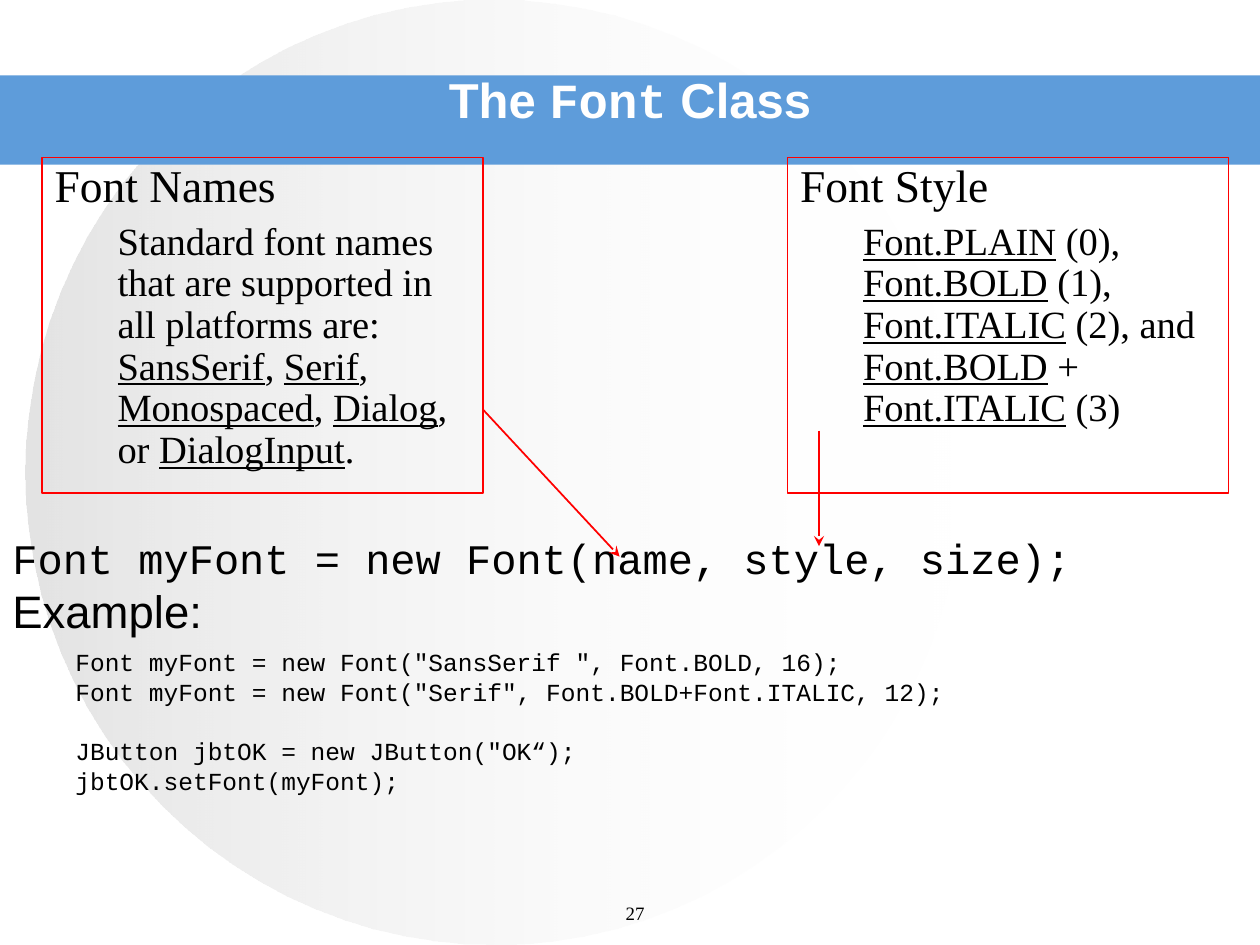
from dataclasses import dataclass

from pptx import Presentation
from pptx.dml.color import RGBColor
from pptx.enum.shapes import MSO_CONNECTOR, MSO_SHAPE
from pptx.enum.text import MSO_ANCHOR, PP_ALIGN
from pptx.oxml.ns import qn
from pptx.util import Cm, Pt
from lxml import etree

OVAL, RECT = MSO_SHAPE.OVAL, MSO_SHAPE.RECTANGLE
LINE = MSO_CONNECTOR.STRAIGHT
LEFT, CENTER = PP_ALIGN.LEFT, PP_ALIGN.CENTER
TOP, MIDDLE = MSO_ANCHOR.TOP, MSO_ANCHOR.MIDDLE


@dataclass(frozen=True)
class Theme:
    black: RGBColor = RGBColor(0, 0, 0)
    white: RGBColor = RGBColor(255, 255, 255)
    gray: RGBColor = RGBColor(0xC0, 0xC0, 0xC0)
    blue: RGBColor = RGBColor(0x5E, 0x9C, 0xDA)
    red: RGBColor = RGBColor(255, 0, 0)
    sans: str = "Arial"
    mono: str = "Courier New"
    serif: str = "Times New Roman"
    title: float = 28
    head: float = 26
    syntax: float = 24
    body: float = 22
    code: float = 14
    page: float = 10.8


THEME = Theme()


def add_run(para, text, face, size, color=THEME.black, bold=False, under=False):
    run = para.add_run()
    run.text = text
    font = run.font
    font.name, font.size, font.bold = face, Pt(size), bold
    font.underline = under
    font.color.rgb = color


def set_para(para, align=LEFT, line=1.0, before=0, left=0, first=0):
    para.alignment, para.line_spacing = align, line
    para.space_before = Pt(before)
    props = para._p.get_or_add_pPr()
    props.set("marL", str(Cm(left)))
    props.set("indent", str(Cm(first)))
    return para


def set_frame(shape, anchor=TOP):
    frame = shape.text_frame
    frame.word_wrap = True
    frame.vertical_anchor = anchor
    return frame


def add_text(slide, box, anchor=TOP):
    return set_frame(slide.shapes.add_textbox(*map(Cm, box)), anchor)


def add_shape(slide, kind, box):
    shape = slide.shapes.add_shape(kind, *map(Cm, box))
    shape.shadow.inherit = False
    return shape


def add_back(slide, box):
    left, top, width, height = box
    disc = add_shape(slide, OVAL, (left + 0.51, top, 18.9, height))
    disc.line.fill.background()
    disc.fill.gradient()
    disc.fill.gradient_angle = 0
    for stop, color in zip(disc.fill.gradient_stops, (THEME.gray, THEME.white)):
        stop.color.rgb = color
    tints = disc._element.spPr.iter(qn("a:srgbClr"))
    for tint, alpha in zip(tints, (44000, 0)):
        etree.SubElement(tint, qn("a:alpha")).set("val", str(alpha))
    band = add_shape(slide, RECT, (left, top + 1.52, width, 1.8))
    band.fill.solid()
    band.fill.fore_color.rgb = THEME.blue
    band.line.fill.background()


def add_title(slide, box):
    para = set_para(add_text(slide, box, MIDDLE).paragraphs[0], CENTER)
    parts = (("The ", THEME.sans), ("Font", THEME.mono), (" Class", THEME.sans))
    for text, face in parts:
        add_run(para, text, face, THEME.title, THEME.white, bold=True)


def add_usage(slide, box):
    top = (0.97, -0.97)
    code = (2.06, -0.79)
    rows = (
        ("Font myFont = new Font(name, style, size);", THEME.mono, THEME.syntax, 6, top),
        ("Example:", THEME.sans, THEME.head, 6.5, top),
        ('Font myFont = new Font("SansSerif ", Font.BOLD, 16);', THEME.mono, THEME.code, 8.8, code),
        ('Font myFont = new Font("Serif", Font.BOLD+Font.ITALIC, 12);', THEME.mono, THEME.code, 3.5, code),
        ('JButton jbtOK = new JButton("OK“);', THEME.mono, THEME.code, 20.5, code),
        ("jbtOK.setFont(myFont);", THEME.mono, THEME.code, 3.5, code),
    )
    frame = add_text(slide, box)
    for index, (text, face, size, before, indent) in enumerate(rows):
        para = frame.add_paragraph() if index else frame.paragraphs[0]
        set_para(para, LEFT, 0.8, before, *indent)
        add_run(para, text, face, size)


def add_page(slide, box):
    para = set_para(add_text(slide, box).paragraphs[0], CENTER, 0.8)
    add_run(para, "27", THEME.serif, THEME.page)


def add_card(slide, box, head, parts):
    card = add_shape(slide, RECT, box)
    card.fill.background()
    card.line.color.rgb = THEME.red
    card.line.width = Pt(0.75)
    frame = set_frame(card)
    para = set_para(frame.paragraphs[0], LEFT, 0.9, 6.5)
    add_run(para, head, THEME.serif, THEME.head)
    para = set_para(frame.add_paragraph(), LEFT, 0.9, 5.5, 1.27)
    for text, under in parts:
        add_run(para, text, THEME.serif, THEME.body, under=under)


def add_arrow(slide, start, end):
    arrow = slide.shapes.add_connector(LINE, *map(Cm, start + end))
    arrow.line.color.rgb = THEME.red
    arrow.line.width = Pt(1)
    tail = etree.SubElement(arrow.line._get_or_add_ln(), qn("a:tailEnd"))
    tail.set("type", "stealth")
    etree.SubElement(arrow._element.spPr, qn("a:effectLst"))


def main():
    deck = Presentation()
    deck.slide_width, deck.slide_height = Cm(25.4), Cm(19.05)
    slide = deck.slides.add_slide(deck.slide_layouts[6])
    add_back(slide, (0, 0, 25.4, 19.05))
    add_title(slide, (1.9, 0, 21.6, 3.97))
    add_usage(slide, (0, 10.8, 24.13, 6.77))
    add_page(slide, (11.64, 18.15, 2.33, 0.74))
    names = (
        ("Standard font names that are supported in all platforms are: ", False),
        ("SansSerif", True), (", ", False),
        ("Serif", True), (", ", False),
        ("Monospaced", True), (", ", False),
        ("Dialog", True), (", or ", False),
        ("DialogInput", True), (".", False),
    )
    styles = (
        ("Font.PLAIN", True), (" (0), ", False),
        ("Font.BOLD", True), (" (1), ", False),
        ("Font.ITALIC", True), (" (2), and ", False),
        ("Font.BOLD", True), (" + ", False),
        ("Font.ITALIC", True), (" (3)", False),
    )
    cards = ((0.85, "Font Names", names), (15.88, "Font Style", styles))
    for left, head, parts in cards:
        add_card(slide, (left, 3.17, 8.89, 6.77), head, parts)
    add_arrow(slide, (9.74, 8.26), (12.49, 11.22))
    add_arrow(slide, (16.51, 8.68), (16.51, 11.01))
    deck.save("out.pptx")


if __name__ == "__main__":
    main()
